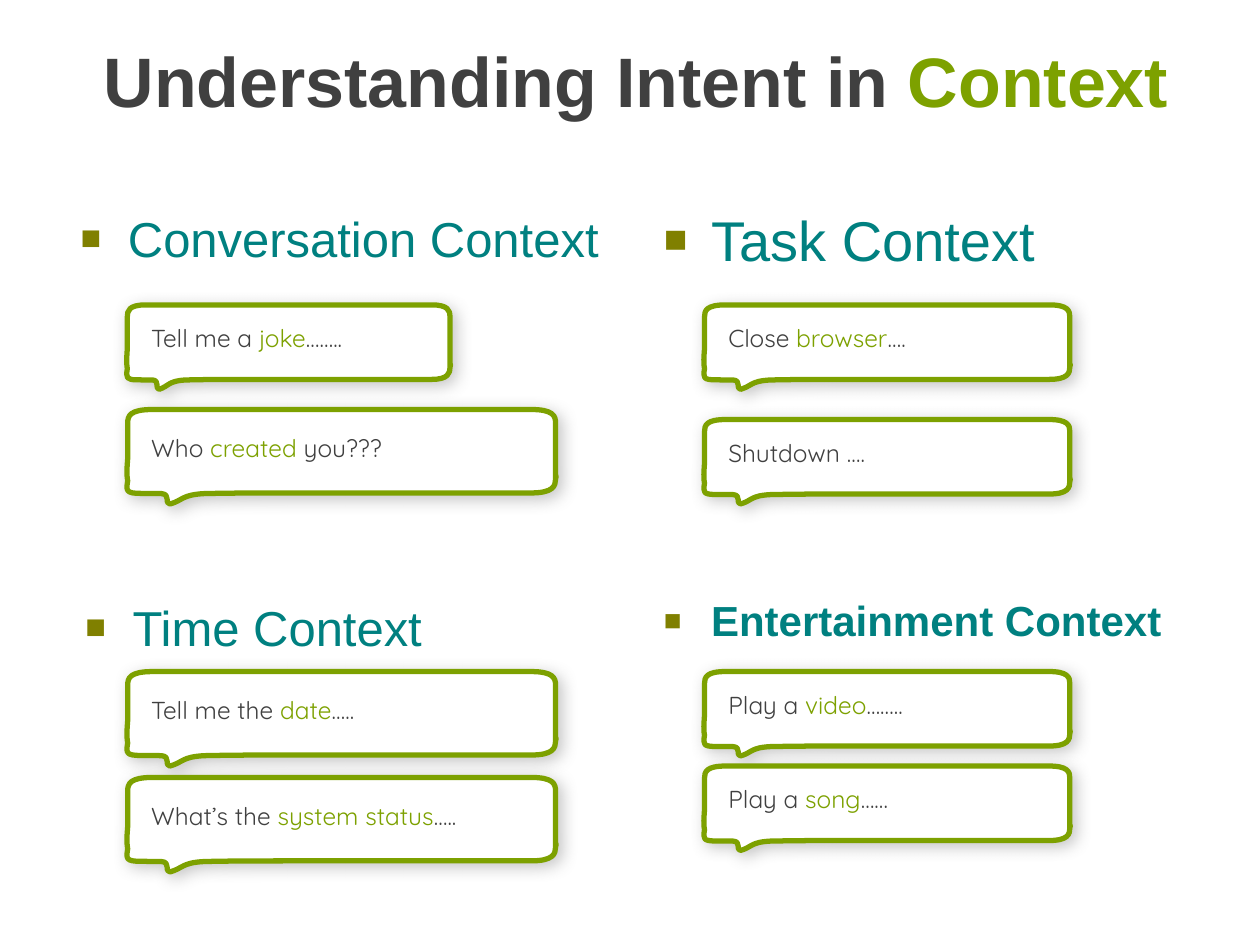
from lxml.etree import SubElement
from pptx import Presentation
from pptx.dml.color import RGBColor
from pptx.enum.text import MSO_ANCHOR, MSO_AUTO_SIZE, PP_ALIGN
from pptx.oxml.ns import qn
from pptx.util import Inches, Pt

COLORS = {"dark": "404040", "green": "7DA100", "teal": "008080",
          "olive": "808000", "white": "FFFFFF", "shadow": "808080"}

TITLE = [("Understanding Intent in ", "dark"), ("Context ", "green")]
TITLE_BOX = (0.25, 0.25, 9.75, 0.77)

# text, size, bold, line spacing, box
HEADINGS = [
    ("Conversation Context", 28, False, 1.05, (0.54, 1.58, 4.33, 0.67)),
    ("Task Context", 32, False, None, (5.17, 1.58, 3.92, 1.33)),
    ("Entertainment Context", 24, True, None, (5.17, 4.67, 4.67, 0.92)),
    ("Time Context", 28, False, 1.05, (0.58, 4.67, 4.33, 0.75)),
]

LEFT, RIGHT = 1, 5.58
COMMANDS = [
    ([("Tell me a", "dark"), (" joke", "green"), ("……..", "dark")], (LEFT, 2.42, 2.58, 0.67)),
    ([("Who ", "dark"), ("created", "green"), (" you???", "dark")], (LEFT, 3.25, 3.42, 0.75)),
    ([("Tell me the ", "dark"), ("date", "green"), ("…..", "dark")], (LEFT, 5.33, 3.42, 0.75)),
    ([("What’s the ", "dark"), ("system status", "green"), ("…..", "dark")], (LEFT, 6.17, 3.42, 0.75)),
    ([("Close", "dark"), (" browser", "green"), ("….", "dark")], (RIGHT, 2.42, 2.92, 0.67)),
    ([("Shutdown ….", "dark")], (RIGHT, 3.33, 2.92, 0.67)),
    ([("Play a ", "dark"), ("video", "green"), ("……..", "dark")], (RIGHT, 5.33, 2.92, 0.67)),
    ([("Play a ", "dark"), ("song", "green"), ("……", "dark")], (RIGHT, 6.08, 2.92, 0.67)),
]

OUTLINE_SIZE = 1000
OUTLINE = [
    ("moveTo", [(82, 890)]),
    ("cubicBezTo", [(50, 888), (76, 890), (35, 888)]),
    ("cubicBezTo", [(0, 888), (0, 862), (4, 755)]),
    ("cubicBezTo", [(0, 667), (4, 547), (4, 515)]),
    ("lnTo", [(4, 145)]),
    ("cubicBezTo", [(4, 67), (9, 0), (62, 0)]),
    ("lnTo", [(170, 0)]),
    ("lnTo", [(418, 0)]),
    ("lnTo", [(940, 0)]),
    ("cubicBezTo", [(991, 0), (997, 67), (997, 145)]),
    ("lnTo", [(997, 515)]),
    ("lnTo", [(997, 735)]),
    ("cubicBezTo", [(997, 735), (1000, 667), (997, 735)]),
    ("cubicBezTo", [(997, 810), (991, 883), (940, 883)]),
    ("lnTo", [(418, 883)]),
    ("cubicBezTo", [(310, 883), (254, 883), (182, 890)]),
    ("cubicBezTo", [(129, 902), (132, 963), (102, 1000)]),
    ("cubicBezTo", [(88, 997), (105, 897), (82, 890)]),
    ("close", []),
]


def place(part, box):
    """Move a part to its box in inches."""
    part.left, part.top, part.width, part.height = map(Inches, box)


def add_runs(paragraph, runs, size, font, bold=False):
    """Add coloured runs to a paragraph."""
    for text, shade in runs:
        run = paragraph.add_run()
        run.text = text
        run.font.size, run.font.name, run.font.bold = Pt(size), font, bold
        run.font.color.rgb = RGBColor.from_string(COLORS[shade])


def draw_outline(bubble):
    """Give a bubble its curved outline."""
    outline = bubble._element.spPr.find(".//" + qn("a:path"))
    for segment in list(outline):
        outline.remove(segment)
    outline.set("w", str(OUTLINE_SIZE))
    outline.set("h", str(OUTLINE_SIZE))
    for command, points in OUTLINE:
        segment = SubElement(outline, qn(f"a:{command}"))
        for x, y in points:
            SubElement(segment, qn("a:pt"), x=str(x), y=str(y))


def add_shadow(bubble):
    """Give a bubble a soft shadow."""
    bubble.shadow.inherit = False
    effects = bubble._element.spPr.find(qn("a:effectLst"))
    shadow = SubElement(effects, qn("a:outerShdw"), blurRad=str(Pt(9)), dist=str(Pt(3)),
                        dir=str(45 * 60000), algn="tl", rotWithShape="0")
    shade = SubElement(shadow, qn("a:srgbClr"), val=COLORS["shadow"])
    SubElement(shade, qn("a:alpha"), val="43000")


def add_bubble(slide, runs, box):
    """Draw a speech bubble with its command."""
    left, top, width, height = map(Inches, box)
    builder = slide.shapes.build_freeform(left, top)
    builder.add_line_segments([(left + width, top), (left + width, top + height)])
    bubble = builder.convert_to_shape()
    draw_outline(bubble)
    bubble.fill.solid()
    bubble.fill.fore_color.rgb = RGBColor.from_string(COLORS["white"])
    bubble.line.color.rgb = RGBColor.from_string(COLORS["green"])
    bubble.line.width = Pt(3)
    add_shadow(bubble)
    frame = bubble.text_frame
    frame.word_wrap = True
    frame.vertical_anchor = MSO_ANCHOR.MIDDLE
    frame.margin_left, frame.margin_top = Inches(0.2), 0
    frame.margin_right, frame.margin_bottom = Inches(0.1), Inches(0.15)
    command = frame.paragraphs[0]
    command.alignment = PP_ALIGN.LEFT
    command.space_after = Pt(6)
    add_runs(command, runs, 14, "Quicksand")


def fill_heading(heading, text, size, bold, spacing, box):
    """Format a text part as a bulleted heading."""
    place(heading, box)
    frame = heading.text_frame
    frame.word_wrap = True
    frame.auto_size = MSO_AUTO_SIZE.NONE
    frame.vertical_anchor = MSO_ANCHOR.TOP
    paragraph = frame.paragraphs[0]
    if spacing:
        paragraph.line_spacing = spacing
    properties = paragraph._p.get_or_add_pPr()
    properties.set("marL", str(Pt(27)))
    properties.set("indent", str(Pt(-27)))
    space_before = SubElement(properties, qn("a:spcBef"))
    SubElement(space_before, qn("a:spcPct"), val="20000")
    bullet_color = SubElement(properties, qn("a:buClr"))
    SubElement(bullet_color, qn("a:srgbClr"), val=COLORS["olive"])
    SubElement(properties, qn("a:buSzPct"), val="70000")
    SubElement(properties, qn("a:buFont"), typeface="Arial")
    SubElement(properties, qn("a:buChar"), char="■")
    add_runs(paragraph, [(text, "teal")], size, "Arial", bold)


def main():
    """Build the slide on intent in context."""
    deck = Presentation()
    deck.slide_width, deck.slide_height = Inches(10), Inches(7.5)
    slide = deck.slides.add_slide(deck.slide_layouts.get_by_name("Title and Content"))
    title, body = slide.placeholders
    place(title, TITLE_BOX)
    title.text_frame.auto_size = MSO_AUTO_SIZE.SHAPE_TO_FIT_TEXT
    title.text_frame.vertical_anchor = MSO_ANCHOR.MIDDLE
    title.text_frame.paragraphs[0].alignment = PP_ALIGN.CENTER
    add_runs(title.text_frame.paragraphs[0], TITLE, 40, "Arial", True)
    fill_heading(body, *HEADINGS[0])
    for heading in HEADINGS[1:]:
        fill_heading(slide.shapes.add_textbox(0, 0, 0, 0), *heading)
    for runs, box in COMMANDS:
        add_bubble(slide, runs, box)
    deck.save("out.pptx")


if __name__ == "__main__":
    main()
